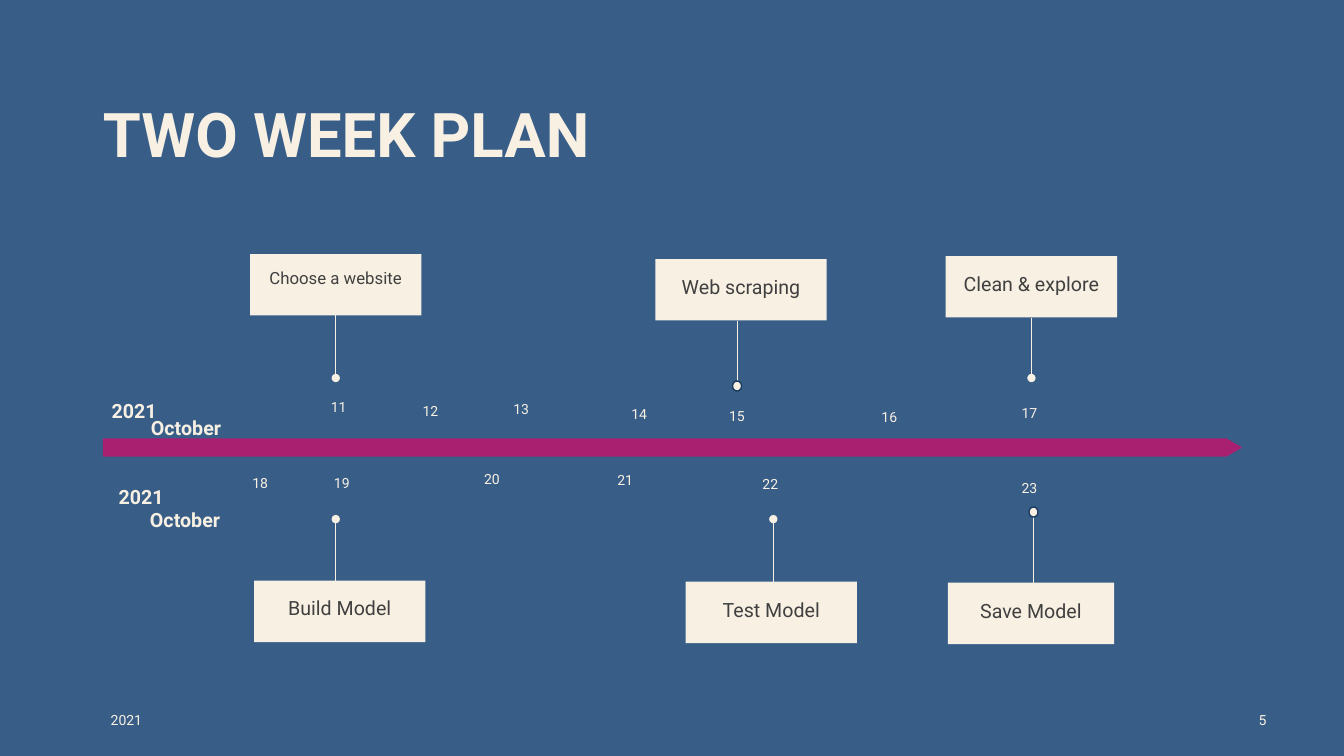
from lxml import etree
from pptx import Presentation
from pptx.dml.color import RGBColor
from pptx.enum.shapes import MSO_CONNECTOR, MSO_SHAPE
from pptx.enum.text import MSO_ANCHOR, PP_ALIGN
from pptx.oxml.ns import qn
from pptx.util import Inches, Pt

BLUE = RGBColor(0x38, 0x5E, 0x88)
NAVY = RGBColor(0x19, 0x3A, 0x5E)
CREAM = RGBColor(0xF8, 0xF0, 0xE3)
MAGENTA = RGBColor(0xAA, 0x20, 0x70)
CHARCOAL = RGBColor(0x40, 0x40, 0x40)
FONT = "Roboto"
LEFT, CENTER, RIGHT = PP_ALIGN.LEFT, PP_ALIGN.CENTER, PP_ALIGN.RIGHT
TOP, MIDDLE = MSO_ANCHOR.TOP, MSO_ANCHOR.MIDDLE
RECTANGLE, OVAL, ARROW = MSO_SHAPE.RECTANGLE, MSO_SHAPE.OVAL, MSO_SHAPE.RIGHT_ARROW
STRAIGHT = MSO_CONNECTOR.STRAIGHT

TITLE = "TWO WEEK PLAN"
TIMELINE = (1.02, 4.35, 11.3, 0.18)
BOX_HEIGHT = 0.61
DAY_SIZE = (0.7, 0.22)
DOT_SIZE = (0.09, 0.1)

# text, left, top, width, text size, stem x, stem end y, ringed dot
MILESTONES = [
    ("Choose a website", 2.48, 2.52, 1.7, 12, 3.33, 3.75, False),
    ("Web scraping", 6.5, 2.57, 1.7, 14, 7.31, 3.83, True),
    ("Clean & explore", 9.38, 2.54, 1.7, 14, 10.23, 3.75, False),
    ("Build Model", 2.52, 5.76, 1.7, 14, 3.33, 5.15, False),
    ("Test Model", 6.8, 5.77, 1.7, 14, 7.67, 5.15, False),
    ("Save Model", 9.4, 5.78, 1.65, 14, 10.25, 5.08, True),
]
DAYS = [
    ("11", 3.01, 3.92), ("12", 3.92, 3.96), ("13", 4.82, 3.94),
    ("14", 5.99, 3.99), ("15", 6.96, 4.01), ("16", 8.47, 4.02),
    ("17", 9.86, 3.98), ("18", 2.23, 4.68), ("19", 3.04, 4.68),
    ("20", 4.53, 4.64), ("21", 5.85, 4.65), ("22", 7.29, 4.69),
    ("23", 9.86, 4.73),
]
# text, area, size, bold, alignment, anchor
LABELS = [
    ("2021", (0.93, 3.84, 0.8, 0.5), 14, True, CENTER, MIDDLE),
    ("October", (1.3, 4.1, 1.09, 0.21), 14, True, CENTER, TOP),
    ("2021", (1, 4.69, 0.8, 0.5), 14, True, CENTER, MIDDLE),
    ("October", (1.29, 5.02, 1.09, 0.21), 14, True, CENTER, TOP),
    ("2021", (1, 6.95, 1.2, 0.4), 10, False, LEFT, MIDDLE),
    ("5", (12.16, 6.95, 0.5, 0.4), 10, False, RIGHT, MIDDLE),
]


def write(shape, text, size, color=CREAM, bold=False, align=CENTER, anchor=TOP, spacing=0.9):
    frame = shape.text_frame
    frame.text = text
    frame.word_wrap = True
    frame.vertical_anchor = anchor
    para = frame.paragraphs[0]
    para.alignment = align
    para.line_spacing = spacing
    font = para.runs[0].font
    font.name = FONT
    font.size = Pt(size)
    font.bold = bold
    font.color.rgb = color


def add_label(page, text, area, size, bold=False, align=CENTER, anchor=TOP):
    label = page.shapes.add_textbox(*map(Inches, area))
    write(label, text, size, bold=bold, align=align, anchor=anchor)


def add_solid(page, kind, area, fill):
    shape = page.shapes.add_shape(kind, *map(Inches, area))
    shape.shadow.inherit = False
    shape.fill.solid()
    shape.fill.fore_color.rgb = fill
    shape.line.fill.background()
    return shape


def add_milestone(page, text, left, top, width, size, stem_x, stem_end, ringed):
    box = add_solid(page, RECTANGLE, (left, top, width, BOX_HEIGHT), CREAM)
    box.text_frame.margin_top = Inches(0.04)
    write(box, text, size, CHARCOAL, spacing=1.5)

    above = stem_end > top
    edge = top + BOX_HEIGHT if above else top
    stem = page.shapes.add_connector(
        STRAIGHT, *map(Inches, (stem_x, edge, stem_x, stem_end)))
    if abs(left + width / 2 - stem_x) < 0.005:
        stem.begin_connect(box, 2 if above else 0)
    stem.line.color.rgb = CREAM
    stem.line.width = Pt(0.5)
    etree.SubElement(stem._element.spPr, qn("a:effectLst"))

    if ringed:
        dot_width, dot_height = DOT_SIZE
        dot = add_solid(page, OVAL, (stem_x - dot_width / 2, stem_end - dot_height / 2,
                                     dot_width, dot_height), CREAM)
        dot.line.color.rgb = NAVY
        dot.line.width = Pt(1)
    else:
        etree.SubElement(stem.line._get_or_add_ln(), qn("a:tailEnd"), type="oval")


def main():
    deck = Presentation()
    deck.slide_width, deck.slide_height = Inches(13.33), Inches(7.5)
    page = deck.slides.add_slide(deck.slide_layouts[5])
    page.background.fill.solid()
    page.background.fill.fore_color.rgb = BLUE

    title = page.shapes.title
    title.left, title.top, title.width, title.height = map(Inches, (0.92, 0.98, 11.5, 1.45))
    write(title, TITLE, 44, bold=True, align=LEFT)

    timeline = add_solid(page, ARROW, TIMELINE, MAGENTA)
    timeline.adjustments[0] = 1
    timeline.adjustments[1] = 0.86

    for milestone in MILESTONES:
        add_milestone(page, *milestone)
    for day, left, top in DAYS:
        add_label(page, day, (left, top, *DAY_SIZE), 10)
    for label in LABELS:
        add_label(page, *label)

    deck.save("out.pptx")


if __name__ == "__main__":
    main()
